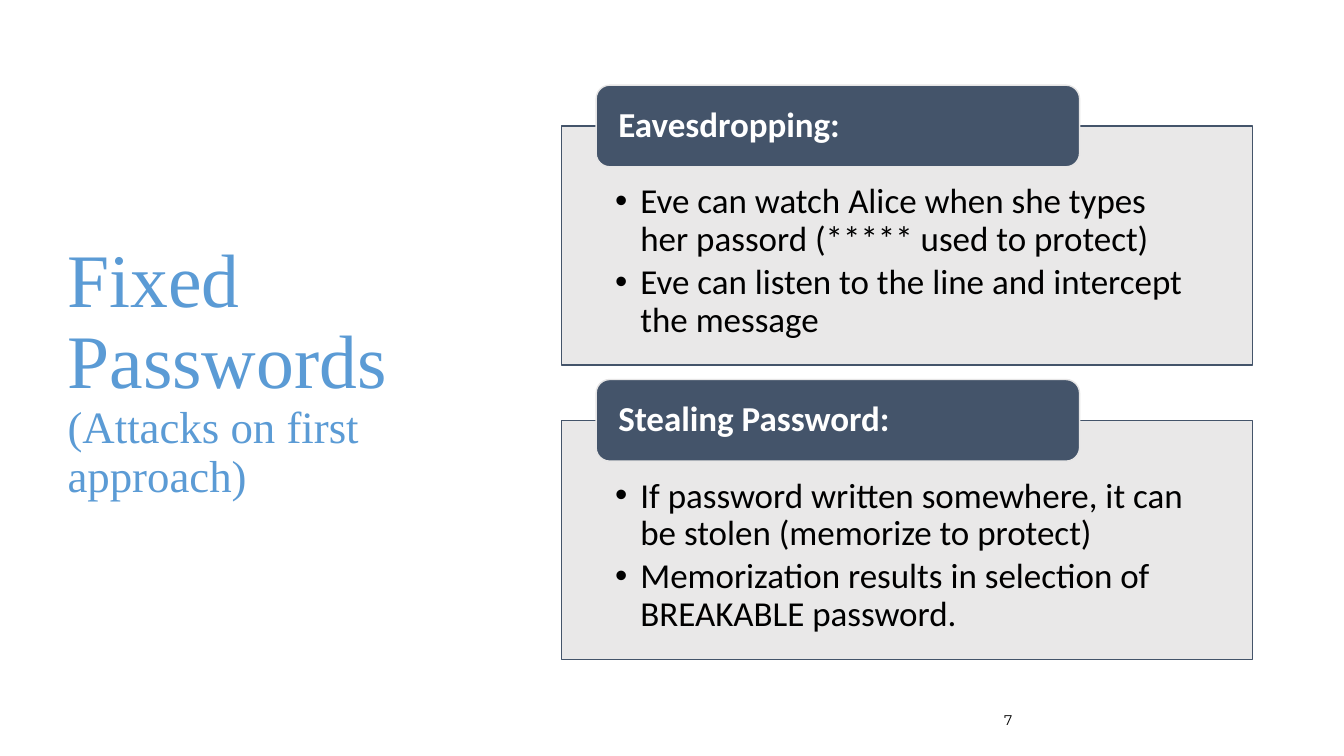
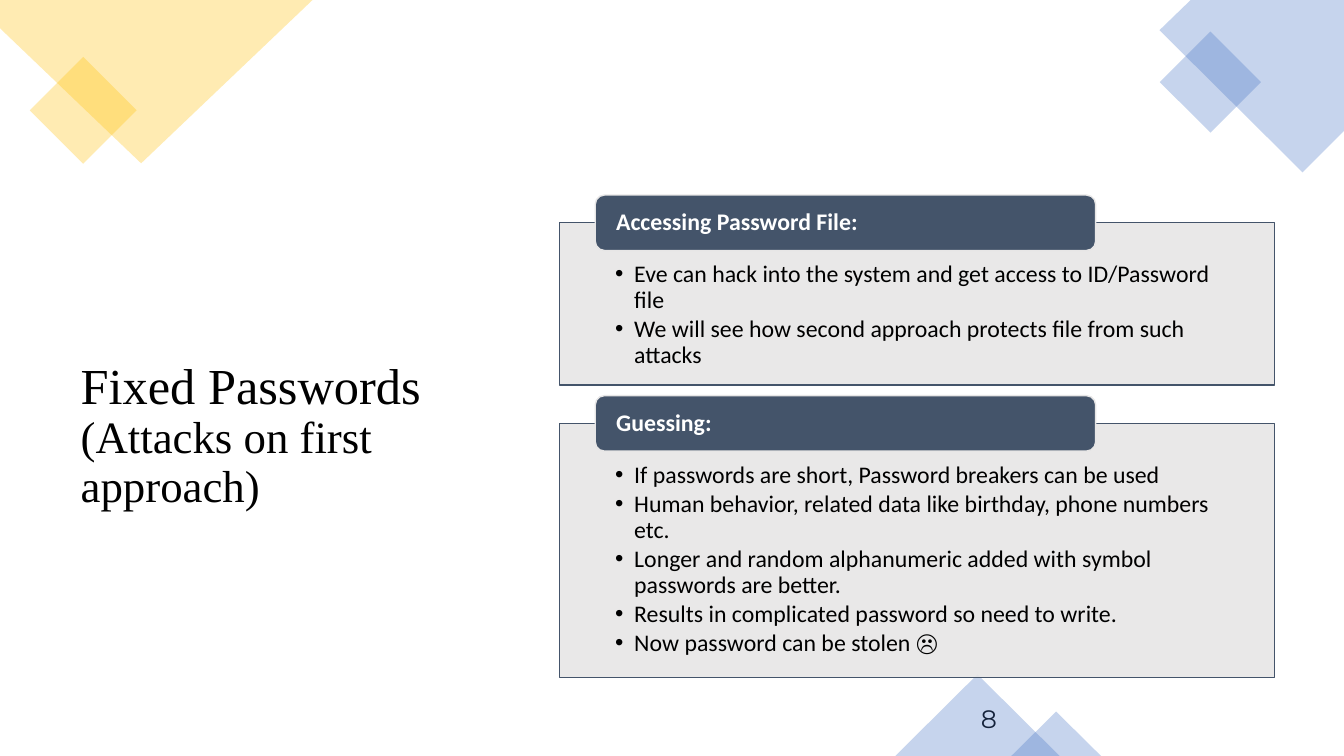
from dataclasses import dataclass

from lxml.etree import SubElement
from pptx import Presentation
from pptx.dml.color import RGBColor as Rgb
from pptx.enum.shapes import MSO_SHAPE as Kind
from pptx.enum.text import MSO_ANCHOR as Anchor, MSO_AUTO_SIZE as Fit, PP_ALIGN as Align
from pptx.oxml.ns import qn
from pptx.util import Inches, Pt


@dataclass(frozen=True)
class Theme:
    blue: str = "5B9BD5"
    black: str = "000000"
    white: str = "FFFFFF"
    slate: str = "44546A"
    pale: str = "E7E6E6"
    gold: str = "FFC000"
    royal: str = "4472C4"
    serif: str = "Times New Roman"
    sans: str = "Calibri"
    num: str = "Montserrat"
    sub: int = 32
    lead: float = 0.9


@dataclass(frozen=True)
class Title:
    box: tuple
    size: int
    color: str


@dataclass(frozen=True)
class Card:
    head: str
    high: float
    items: tuple


@dataclass(frozen=True)
class Stack:
    left: float
    top: float
    width: float
    tab: float
    gap: float
    size: int
    hang: float
    cards: tuple


@dataclass(frozen=True)
class Page:
    num: str
    box: tuple
    size: int


@dataclass(frozen=True)
class Mark:
    kind: Kind
    box: tuple
    color: str
    turn: int = 0


@dataclass(frozen=True)
class Patch:
    points: tuple
    color: str


T = Theme()
GOLD = (
    Mark(Kind.RECTANGLE, (0.45, 0.72, 0.75, 0.75), T.gold, 45),
    Patch(((0, 0), (3.1, 0), (1.4, 1.62), (0, 0.28)), T.gold),
)
ROYAL = (
    Patch(((11.81, 0), (13.33, 0), (13.33, 1.3), (12.92, 1.71), (11.5, 0.3)), T.royal),
    Mark(Kind.RECTANGLE, (11.65, 0.46, 0.71, 0.71), T.royal, 45),
)
PEAKS = (
    Mark(Kind.ISOSCELES_TRIANGLE, (8.88, 6.69, 1.63, 0.81), T.royal),
    Mark(Kind.ISOSCELES_TRIANGLE, (10.03, 7.06, 0.89, 0.44), T.royal),
)
SPY = Stack(5.57, 1.25, 6.85, 0.81, 0.55, 25, 0.25, (
    Card("Eavesdropping:", 2.37, (
        "Eve can watch Alice when she types her passord (***** used to protect)",
        "Eve can listen to the line and intercept the message",
    )),
    Card("Stealing Password:", 2.37, (
        "If password written somewhere, it can be stolen (memorize to protect)",
        "Memorization results in selection of BREAKABLE password.",
    )),
))
HACK = Stack(5.55, 2.21, 7.09, 0.55, 0.38, 17, 0.19, (
    Card("Accessing Password File:", 1.61, (
        "Eve can hack into the system and get access to ID/Password file",
        "We will see how second approach protects file from such attacks",
    )),
    Card("Guessing:", 2.52, (
        "If passwords are short, Password breakers can be used",
        "Human behavior, related data like birthday, phone numbers etc.",
        "Longer and random alphanumeric added with symbol passwords are better.",
        "Results in complicated password so need to write.",
        "Now password can be stolen ☹",
    )),
))


def place(shape, box: tuple) -> None:
    shape.left, shape.top, shape.width, shape.height = map(Inches, box)


def paint(shape, color: str, solid: int = 100) -> None:
    """Fill a shape; solid is its opacity in percent."""
    shape.fill.solid()
    shape.fill.fore_color.rgb = Rgb.from_string(color)
    if solid < 100:
        tint = shape.element.find(".//" + qn("a:srgbClr"))
        SubElement(tint, qn("a:alpha"), val=str(solid * 1000))


def edge(shape, color: str) -> None:
    shape.line.color.rgb = Rgb.from_string(color)
    shape.line.width = Pt(1)


def pad(frame, sides: tuple, anchor: Anchor) -> None:
    frame.word_wrap, frame.auto_size = True, Fit.NONE
    frame.vertical_anchor = anchor
    (frame.margin_left, frame.margin_top,
     frame.margin_right, frame.margin_bottom) = map(Inches, sides)


def align(para, after: float = 0) -> None:
    para.alignment, para.line_spacing = Align.LEFT, T.lead
    para.space_before, para.space_after = Pt(0), Pt(after)


def write(para, text: str, face: str, size: int, color: str, bold: bool = False) -> None:
    run = para.add_run()
    run.text = text
    font = run.font
    font.name, font.size, font.bold = face, Pt(size), bold
    font.color.rgb = Rgb.from_string(color)


def add_title(slide, title: Title) -> None:
    shape = slide.shapes.title
    place(shape, title.box)
    pad(shape.text_frame, (0.1, 0.05, 0.1, 0.05), Anchor.MIDDLE)
    para = shape.text_frame.paragraphs[0]
    align(para)
    write(para, "Fixed Passwords", T.serif, title.size, title.color)
    para.add_line_break()
    SubElement(para._p.find(qn("a:br")), qn("a:rPr"), sz=str(title.size * 100))
    write(para, "(Attacks on first approach)", T.serif, T.sub, title.color)


def add_art(slide, art: tuple) -> None:
    for part in art:
        if isinstance(part, Mark):
            shape = slide.shapes.add_shape(part.kind, *map(Inches, part.box))
            shape.rotation = part.turn
        else:
            first, *rest = [(Inches(x), Inches(y)) for x, y in part.points]
            pen = slide.shapes.build_freeform(*first)
            pen.add_line_segments(rest)
            shape = pen.convert_to_shape()
        shape.shadow.inherit = False
        paint(shape, part.color, 30)
        shape.line.fill.background()


def add_page(slide, page: Page) -> None:
    frame = slide.shapes.add_textbox(*map(Inches, page.box)).text_frame
    pad(frame, (0.1, 0.05, 0.1, 0.05), Anchor.MIDDLE)
    align(frame.paragraphs[0])
    write(frame.paragraphs[0], page.num, T.num, page.size, T.black)


def add_list(body, stack: Stack, card: Card, top: float) -> None:
    body.element.getparent().append(body.element)  # bring above the art
    place(body, (stack.left, top, stack.width, card.high))
    paint(body, T.pale, 90)
    edge(body, T.slate)
    frame, side = body.text_frame, stack.width * 0.0776
    pad(frame, (side, stack.tab * 0.705, side, stack.tab * 0.235), Anchor.TOP)
    hang = Inches(stack.hang)
    for i, item in enumerate(card.items):
        para = frame.add_paragraph() if i else frame.paragraphs[0]
        align(para, stack.size * 0.15)
        props = para._p.get_or_add_pPr()
        props.set("marL", str(hang))
        props.set("indent", str(-hang))
        write(para, item, T.sans, stack.size, T.black)


def add_head(slide, stack: Stack, card: Card, top: float) -> None:
    box = (stack.left + stack.width * 0.05, top - stack.tab / 2,
           stack.width * 0.7, stack.tab)
    tab = slide.shapes.add_shape(Kind.ROUNDED_RECTANGLE, *map(Inches, box))
    tab.shadow.inherit = False
    paint(tab, T.slate)
    edge(tab, T.pale)
    pad(tab.text_frame, (0.18, 0, 0.18, 0), Anchor.MIDDLE)
    para = tab.text_frame.paragraphs[0]
    align(para)
    write(para, card.head, T.sans, stack.size, T.white, True)


def add_stack(slide, stack: Stack) -> None:
    top = stack.top
    for idx, card in enumerate(stack.cards, 1):
        add_list(slide.placeholders[idx], stack, card, top)
        add_head(slide, stack, card, top)
        top += card.high + stack.gap


def add_slide(deck, title: Title, stack: Stack, page: Page,
              back: tuple = (), front: tuple = ()) -> None:
    """Build a slide; back art lies under the page number, front art over it."""
    slide = deck.slides.add_slide(deck.slide_layouts[3])
    add_title(slide, title)
    add_art(slide, back)
    add_page(slide, page)
    add_art(slide, front)
    add_stack(slide, stack)


def main() -> None:
    deck = Presentation()
    deck.slide_width, deck.slide_height = Inches(13.33), Inches(7.5)
    add_slide(deck, Title((0.57, 0.68, 4.16, 6.02), 54, T.blue), SPY,
              Page("7", (9.86, 6.95, 2.12, 0.4), 10))
    add_slide(deck, Title((0.7, 1.86, 4.33, 4.94), 36, T.black), HACK,
              Page("8", (9.63, 6.95, 3, 0.4), 18), GOLD + ROYAL, PEAKS)
    deck.save("out.pptx")


if __name__ == "__main__":
    main()
